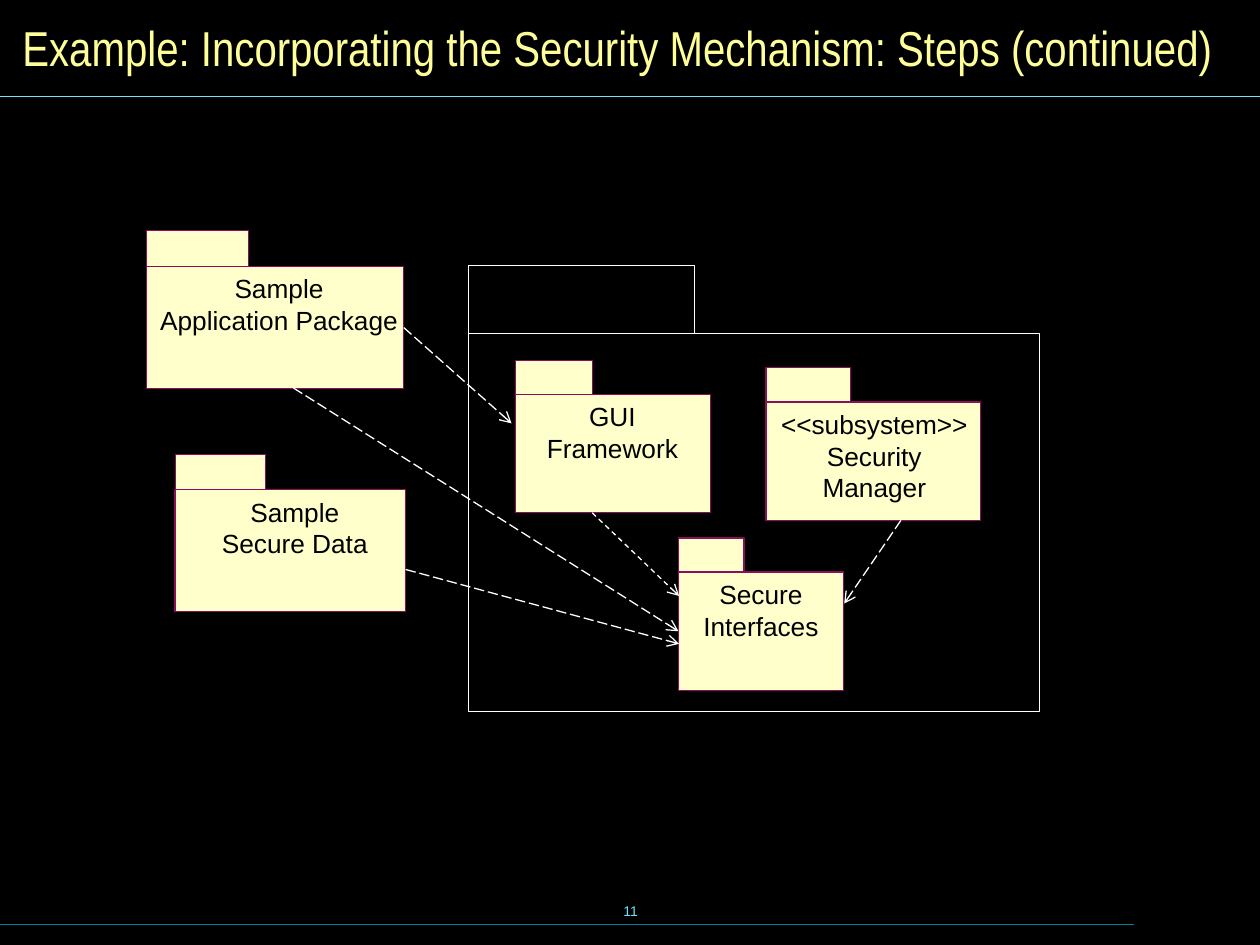
import pptx
import pptx.util
import pptx.dml.color
import pptx.enum.dml
import pptx.enum.shapes
import pptx.enum.text
import pptx.oxml.ns
import lxml.etree

RGB = pptx.dml.color.RGBColor
BLACK = RGB(0x00, 0x00, 0x00)
WHITE = RGB(0xFF, 0xFF, 0xFF)
CREAM = RGB(0xFF, 0xFF, 0xCC)
PLUM = RGB(0x8A, 0x0E, 0x5E)
YELLOW = RGB(0xFF, 0xFF, 0x99)
CYAN = RGB(0x73, 0xE1, 0xFF)
TEAL = RGB(0x00, 0x7E, 0x9F)

COLS, ROWS = 100, 75
WIDE, HIGH = pptx.util.Inches(10), pptx.util.Inches(7.5)
ALIGN = pptx.enum.text.PP_ALIGN
DASH = pptx.enum.dml.MSO_LINE


def col(num):
    return round(WIDE * num / COLS)


def row(num):
    return round(HIGH * num / ROWS)


def area(left, top, width, height):
    return col(left), row(top), col(width), row(height)


def add_text(slide, box, text, size, color, font="Arial", align=ALIGN.CENTER,
             wrap=False, inset=True):
    frame = slide.shapes.add_textbox(*area(*box)).text_frame
    frame.word_wrap = wrap
    if inset:
        frame.vertical_anchor = pptx.enum.text.MSO_ANCHOR.MIDDLE
    else:
        frame.auto_size = pptx.enum.text.MSO_AUTO_SIZE.SHAPE_TO_FIT_TEXT
        frame.margin_left = frame.margin_right = 0
        frame.margin_top = frame.margin_bottom = 0
    frame.text = text
    for para in frame.paragraphs:
        para.alignment = align
        for run in para.runs:
            run.font.name = font
            run.font.size = pptx.util.Pt(size)
            run.font.color.rgb = color


def add_rect(slide, box, line, fill=None):
    rect = slide.shapes.add_shape(
        pptx.enum.shapes.MSO_SHAPE.RECTANGLE, *area(*box))
    rect.shadow.inherit = False
    if fill is None:
        rect.fill.background()
    else:
        rect.fill.solid()
        rect.fill.fore_color.rgb = fill
    rect.line.color.rgb = line
    rect.line.width = 0
    return rect


def add_folder(slide, body, tab, line, fill=None):
    left, top = body[:2]
    rect = add_rect(slide, body, line, fill)
    add_rect(slide, (left, top - tab[1], *tab), line, fill)
    return rect


def add_pack(slide, body, tab, label, left, width):
    rect = add_folder(slide, body, tab, PLUM, CREAM)
    lines = label.count("\n") + 1
    add_text(slide, (left, body[1] + 0.5, width, 2.5 * lines),
             label, 15, BLACK, inset=False)
    return rect


def add_line(slide, start, end, color):
    line = slide.shapes.add_connector(
        pptx.enum.shapes.MSO_CONNECTOR.STRAIGHT,
        col(start[0]), row(start[1]), col(end[0]), row(end[1]))
    line.line.color.rgb = color
    line.line.width = pptx.util.Pt(0.75)
    props = line._element.spPr
    lxml.etree.SubElement(props, pptx.oxml.ns.qn("a:effectLst"))
    return line


def add_arrow(slide, start, end, dash=DASH.LONG_DASH):
    line = add_line(slide, start, end, WHITE)
    line.line.dash_style = dash
    lxml.etree.SubElement(line.line._get_or_add_ln(),
                          pptx.oxml.ns.qn("a:tailEnd"), type="arrow")
    return line


def add_frame(slide):
    fill = slide.background.fill
    fill.solid()
    fill.fore_color.rgb = BLACK
    add_text(slide, (34.2, 69.8, 31.7, 5), "11", 8, CYAN)
    add_line(slide, (0, 73.35), (90, 73.35), TEAL)
    add_line(slide, (0, 7.65), (100, 7.65), CYAN)
    add_text(slide, (0.8, 0.8, 98.4, 5.8),
             "Example: Incorporating the Security Mechanism: Steps (continued)",
             28, YELLOW, "Arial Narrow", ALIGN.LEFT, wrap=True)


def add_model(slide):
    add_pack(slide, (40.9, 31.3, 15.5, 9.4), (6.1, 2.7),
             "GUI\nFramework", 43.2, 10.8)
    ports = add_pack(slide, (53.85, 45.4, 13.1, 9.4), (5.2, 2.7),
                     "Secure\nInterfaces", 55.6, 9.6)
    add_folder(slide, (37.2, 26.45, 45.3, 30.05), (17.9, 5.4), WHITE)
    add_pack(slide, (60.8, 31.9, 17, 9.4), (6.7, 2.75),
             "<<subsystem>>\nSecurity\nManager", 61.6, 15.6)
    app = add_pack(slide, (11.65, 21.15, 20.4, 9.7), (8.1, 2.85),
                   "Sample\nApplication Package", 12.5, 19.3)
    add_pack(slide, (13.9, 38.85, 18.3, 9.7), (7.2, 2.8),
             "Sample\nSecure Data", 17.4, 12)

    add_arrow(slide, (47, 40.7), (53.9, 47.3), DASH.DASH)
    add_arrow(slide, (71.5, 41.3), (67, 47.9))
    add_arrow(slide, (32.2, 26.1), (40.6, 33.6)).begin_connect(app, 3)
    add_arrow(slide, (32.2, 45.2), (53.9, 51.1))
    add_arrow(slide, (23.3, 30.8), (54.2, 50)).end_connect(ports, 1)


def main():
    deck = pptx.Presentation()
    deck.slide_width, deck.slide_height = WIDE, HIGH
    slide = deck.slides.add_slide(deck.slide_layouts[6])
    add_frame(slide)
    add_model(slide)
    deck.save("out.pptx")


if __name__ == "__main__":
    main()
